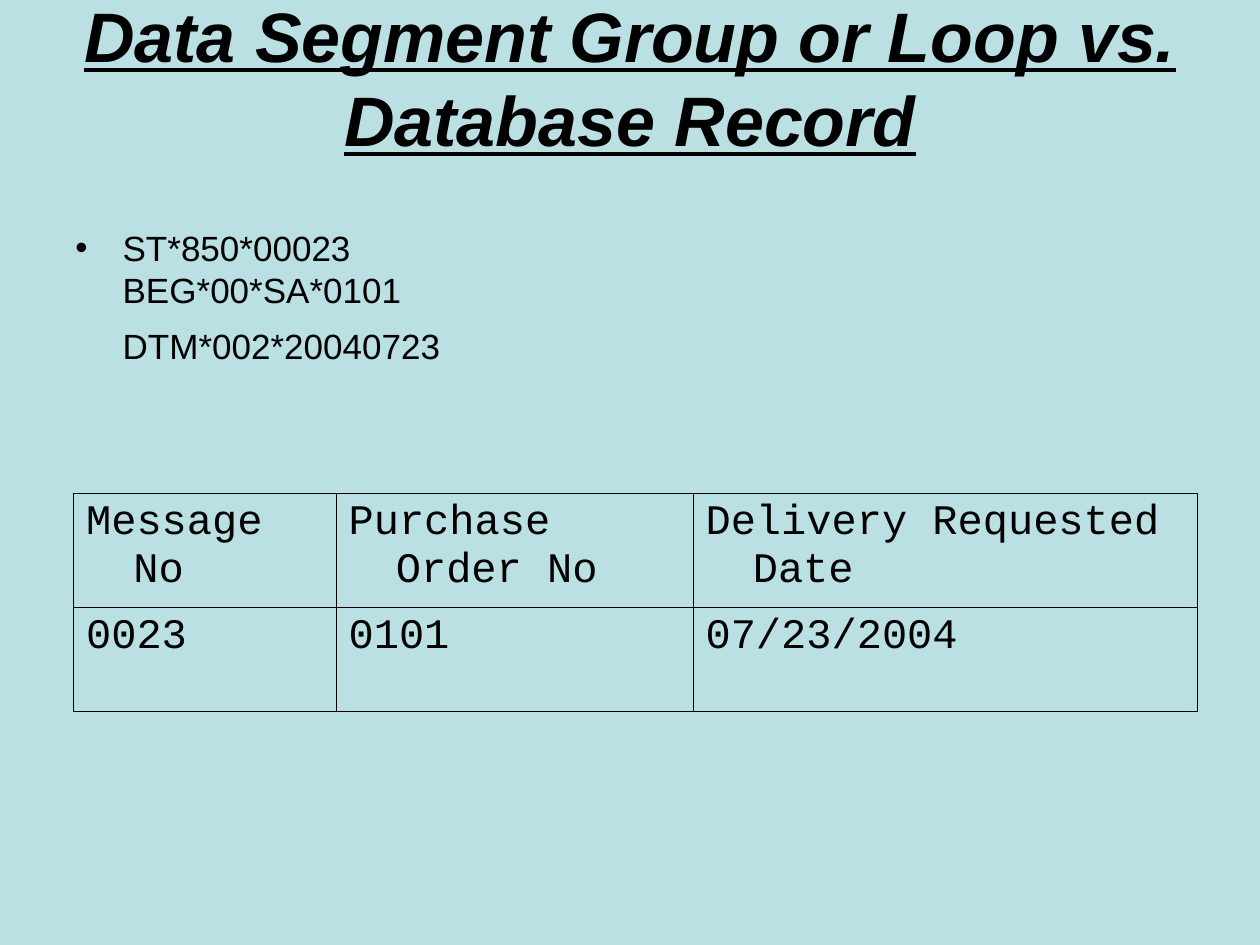
import dataclasses

import lxml.etree
import pptx
import pptx.dml.color
import pptx.enum.text
import pptx.oxml.ns
import pptx.util

Pt = pptx.util.Pt
qn = pptx.oxml.ns.qn


@dataclasses.dataclass(frozen=True)
class Theme:
    background: str = "BBE0E3"
    ink: str = "000000"
    font: str = "Arial"
    table_font: str = "Courier New"
    title_size: float = 40
    body_size: float = 20
    table_size: float = 24
    border: float = 0.45
    hang: float = 27


def rgb(value):
    return pptx.dml.color.RGBColor.from_string(value)


class SlideBuilder:
    def __init__(self, prs, theme):
        self.theme = theme
        self.slide = prs.slides.add_slide(prs.slide_layouts[5])
        fill = self.slide.background.fill
        fill.solid()
        fill.fore_color.rgb = rgb(theme.background)

    def run(self, p, text, size, font):
        r = p.add_run()
        r.text = text
        r.font.size = Pt(size)
        r.font.name = font
        r.font.color.rgb = rgb(self.theme.ink)
        return r

    def hanging(self, p):
        pPr = p._p.get_or_add_pPr()
        pPr.set("marL", str(Pt(self.theme.hang)))
        pPr.set("indent", str(-Pt(self.theme.hang)))
        return pPr

    def title(self, text, left, top, width, height, lift):
        """Centre the title, raised above the middle of its box by lift."""
        sp = self.slide.shapes.title
        sp.left, sp.top, sp.width, sp.height = map(Pt, (left, top, width, height))
        tf = sp.text_frame
        tf.auto_size = pptx.enum.text.MSO_AUTO_SIZE.NONE
        tf.vertical_anchor = pptx.enum.text.MSO_ANCHOR.MIDDLE
        tf.margin_bottom = Pt(3.6 + 2 * lift)
        p = tf.paragraphs[0]
        p.alignment = pptx.enum.text.PP_ALIGN.CENTER
        r = self.run(p, text, self.theme.title_size, self.theme.font)
        r.font.bold = r.font.italic = r.font.underline = True

    def bullet_text(self, groups, left, top, width, height, gap):
        """Bullet the first group of lines and align later groups under it."""
        sp = self.slide.shapes.add_textbox(*map(Pt, (left, top, width, height)))
        tf = sp.text_frame
        tf.word_wrap = True
        for i, lines in enumerate(groups):
            p = tf.add_paragraph() if i else tf.paragraphs[0]
            pPr = self.hanging(p)
            if i:
                p.space_before = Pt(gap)
                pPr.set("indent", "0")
            else:
                lxml.etree.SubElement(pPr, qn("a:buFont"), typeface=self.theme.font)
                lxml.etree.SubElement(pPr, qn("a:buChar"), char="•")
            for j, line in enumerate(lines):
                if j:
                    p.add_line_break()
                self.run(p, line, self.theme.body_size, self.theme.font)

    def borders(self, cell):
        tcPr = cell._tc.get_or_add_tcPr()
        for i, side in enumerate(("lnL", "lnR", "lnT", "lnB")):
            ln = lxml.etree.Element(qn(f"a:{side}"), w=str(Pt(self.theme.border)))
            fill = lxml.etree.SubElement(ln, qn("a:solidFill"))
            lxml.etree.SubElement(fill, qn("a:srgbClr"), val=self.theme.ink)
            tcPr.insert(i, ln)

    def table(self, rows, left, top, widths, heights):
        frame = self.slide.shapes.add_table(
            len(rows), len(widths), Pt(left), Pt(top), Pt(sum(widths)), Pt(sum(heights)))
        table = frame.table
        table.first_row = table.horz_banding = False
        for column, width in zip(table.columns, widths):
            column.width = Pt(width)
        for row, height, texts in zip(table.rows, heights, rows):
            row.height = Pt(height)
            for cell, text in zip(row.cells, texts):
                cell.fill.background()
                self.borders(cell)
                p = cell.text_frame.paragraphs[0]
                self.hanging(p)
                self.run(p, text, self.theme.table_size, self.theme.table_font)


def main():
    prs = pptx.Presentation()
    prs.slide_width, prs.slide_height = Pt(720), Pt(540)
    s = SlideBuilder(prs, Theme())
    s.title("Data Segment Group or Loop vs. Database Record",
            36, 21.6, 648, 90, lift=23)
    s.bullet_text([["ST*850*00023", "BEG*00*SA*0101"], ["DTM*002*20040723"]],
                  36, 126, 318, 356.4, gap=8)
    s.table([["Message No", "Purchase Order No", "Delivery Requested Date"],
             ["0023", "0101", "07/23/2004"]],
            42, 282, widths=(150, 204, 288), heights=(65, 59.5))
    prs.save("out.pptx")


if __name__ == "__main__":
    main()
